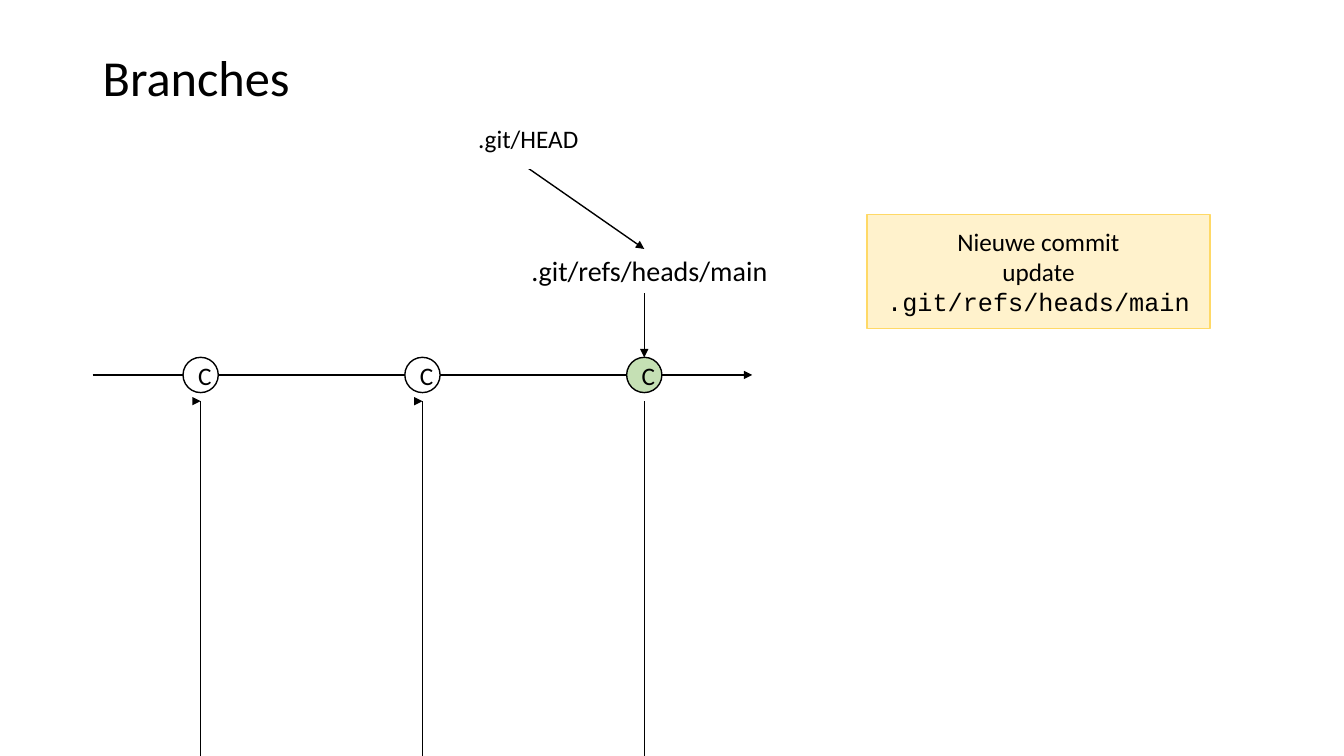
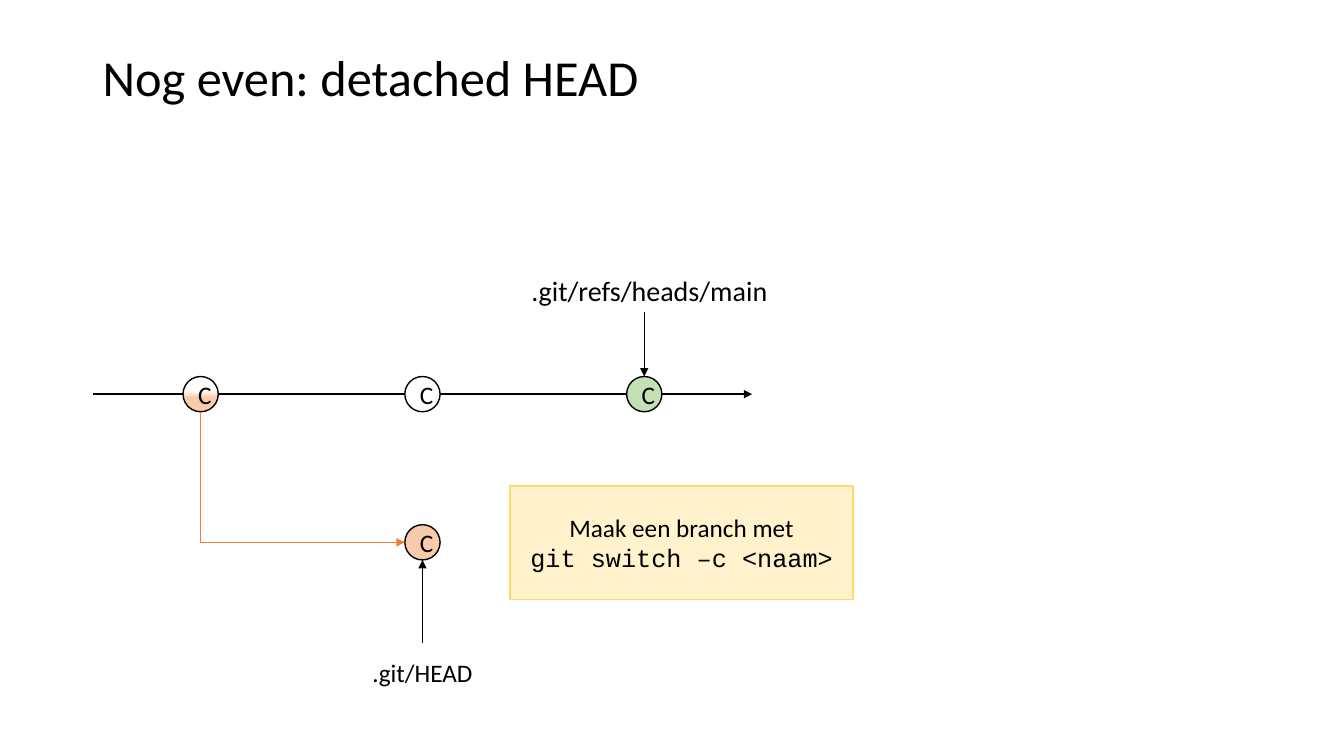
from lxml.etree import SubElement
from pptx import Presentation
from pptx.dml.color import RGBColor
from pptx.enum.shapes import MSO_CONNECTOR as Link, MSO_SHAPE as Preset
from pptx.enum.text import MSO_ANCHOR as Anchor, PP_ALIGN as Align
from pptx.oxml.ns import qn
from pptx.util import Inches, Pt

COLUMNS, ROWS = 133.3, 75
COLORS = {
    "ink": "000000",
    "paper": "FFFFFF",
    "main": "C5E0B4",
    "detached": "F8CBAD",
    "branch": "ED7D31",
    "note": "FFF2CC",
    "note_edge": "FFD966",
}
BODY, CODE = "Calibri", "Courier New"
COMMITS = [19.9 + 22 * step for step in range(3)]
COMMIT_SIZE = 3.5
RADIUS = COMMIT_SIZE / 2
TIMELINE = 9.2, 74.6
HEAD_SIZE = 19.6, 5.9
NOTE_SIZE = 34, 11.3


def color(name):
    return RGBColor.from_string(COLORS[name])


def write(frame, *lines, size=18, align=Align.CENTER, anchor=Anchor.MIDDLE, spacing=None):
    frame.word_wrap = True
    frame.vertical_anchor = anchor
    for index, (text, font) in enumerate(lines):
        paragraph = frame.paragraphs[0] if index == 0 else frame.add_paragraph()
        paragraph.alignment = align
        paragraph.line_spacing = spacing
        run = paragraph.add_run()
        run.text = text
        run.font.name = font
        run.font.size = Pt(size)
        run.font.color.rgb = color("ink")


class Deck:
    def __init__(self):
        self.show = Presentation()
        self.show.slide_width = Inches(13.33)
        self.show.slide_height = Inches(7.5)
        self.slide = None

    def x(self, columns):
        return round(self.show.slide_width * columns / COLUMNS)

    def y(self, rows):
        return round(self.show.slide_height * rows / ROWS)

    def box(self, left, top, width, height):
        return self.x(left), self.y(top), self.x(width), self.y(height)

    def start(self, title):
        self.slide = self.show.slides.add_slide(self.show.slide_layouts[6])
        self.label(title, 9.2, 4, 115, 7.9, size=36, align=Align.LEFT, spacing=0.9)

    def label(self, text, *place, **style):
        label = self.slide.shapes.add_textbox(*self.box(*place))
        write(label.text_frame, (text, BODY), **style)

    def panel(self, preset, place, lines, fill, edge):
        panel = self.slide.shapes.add_shape(preset, *self.box(*place))
        panel.shadow.inherit = False
        panel.fill.solid()
        panel.fill.fore_color.rgb = color(fill)
        panel.line.color.rgb = color(edge)
        panel.line.width = Pt(1)
        write(panel.text_frame, *lines)
        return panel

    def note(self, left, top, *lines):
        self.panel(Preset.RECTANGLE, (left, top, *NOTE_SIZE), lines, "note", "note_edge")

    def head(self, center, top):
        place = center - HEAD_SIZE[0] / 2, top, *HEAD_SIZE
        self.panel(Preset.RECTANGLE, place, [(".git/HEAD", BODY)], "paper", "paper")

    def commit(self, column, row, fill="paper"):
        place = column - RADIUS, row - RADIUS, COMMIT_SIZE, COMMIT_SIZE
        return self.panel(Preset.OVAL, place, [("C", BODY)], fill, "ink")

    def line(self, start, end, ink="ink", width=1, arrow=True, link=Link.STRAIGHT):
        line = self.slide.shapes.add_connector(
            link, self.x(start[0]), self.y(start[1]), self.x(end[0]), self.y(end[1]))
        line.line.color.rgb = color(ink)
        line.line.width = Pt(width)
        if arrow:
            SubElement(line.line._get_or_add_ln(), qn("a:tailEnd"), type="triangle")
        SubElement(line._element.spPr, qn("a:effectLst"))
        return line

    def elbow(self, start, end, **style):
        elbow = self.line(start, end, link=Link.ELBOW, **style)
        guides = elbow._element.spPr.find(qn("a:prstGeom")).get_or_add_avLst()
        SubElement(guides, qn("a:gd"), name="adj1", fmla="val 0")

    def history(self, row):
        self.line((TIMELINE[0], row), (TIMELINE[1], row), width=1.5)
        fills = "paper", "paper", "main"
        commits = [self.commit(column, row, fill) for column, fill in zip(COMMITS, fills)]
        self.label(".git/refs/heads/main", 50.6, row - 12.5, 26.5, 4.4,
                   size=20, align=Align.RIGHT, anchor=Anchor.TOP)
        self.line((COMMITS[-1], row - 8.1), (COMMITS[-1], row - RADIUS))
        return commits


def branches(deck):
    row, parent_row = 37.2, 39.8
    deck.start("Branches")
    deck.history(row)
    deck.note(86, 21.3, ("Nieuwe commit", BODY), ("update", BODY),
              (".git/refs/heads/main", CODE))
    deck.line((52.4, 16.7), (COMMITS[-1], 24.7))
    deck.head(52.4, 10.8)
    for column in COMMITS:
        deck.line((column, parent_row), (column, ROWS), arrow=False)
    for column in COMMITS[:-1]:
        deck.line((column - 0.8, parent_row), (column, parent_row))


def detached_head(deck):
    row, branch_row = 39.1, 53.8
    first, second, _ = COMMITS
    deck.start("Nog even: detached HEAD")
    origin, *_ = deck.history(row)
    origin.fill.gradient()
    origin.fill.gradient_angle = 270
    for stop, position, name in zip(
            origin.fill.gradient_stops, (0.4, 0.6), ("paper", "detached")):
        stop.position = position
        stop.color.rgb = color(name)
    deck.note(50.6, 48.2, ("Maak een branch met", BODY), ("git switch –c <naam>", CODE))
    deck.head(second, 63.8)
    deck.line((second, 63.8), (second, branch_row + RADIUS))
    deck.commit(second, branch_row, "detached")
    deck.elbow((first, row + RADIUS), (second - RADIUS, branch_row), ink="branch")


def main():
    deck = Deck()
    branches(deck)
    detached_head(deck)
    deck.show.save("out.pptx")


if __name__ == "__main__":
    main()
